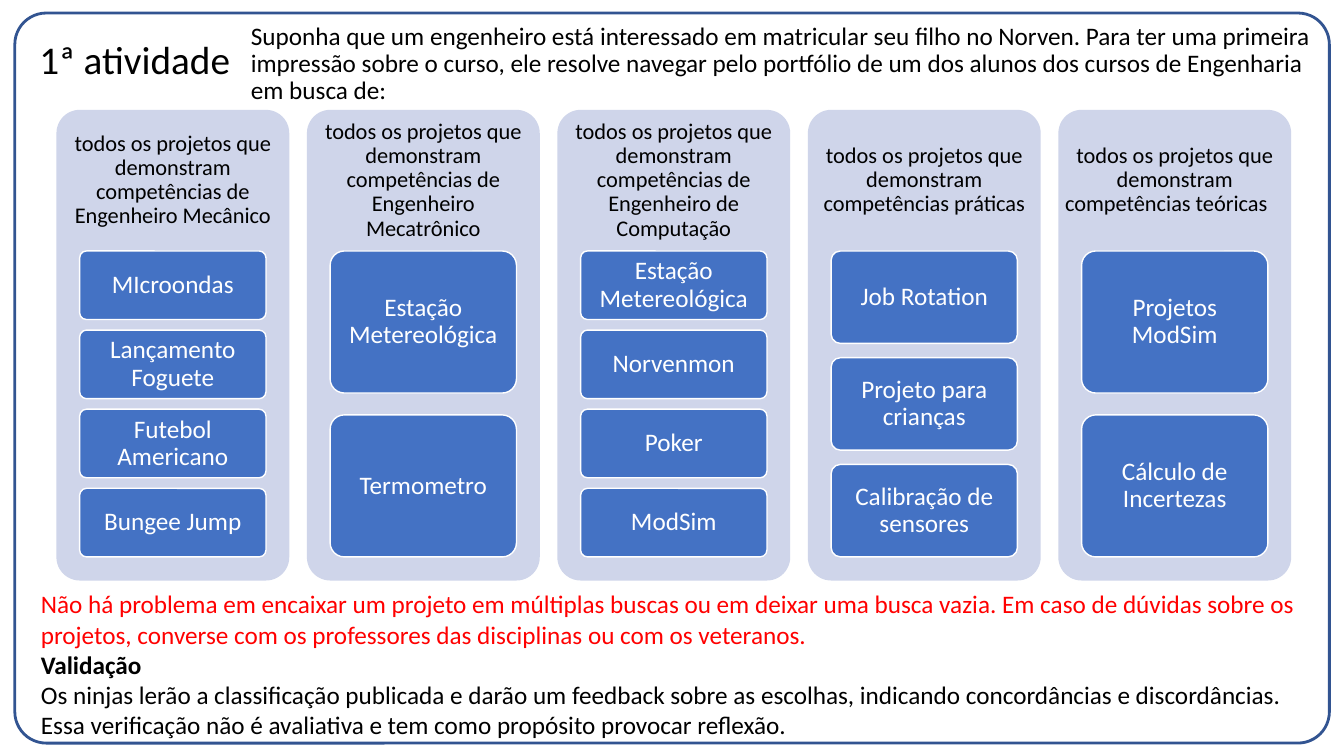
import pptx
import pptx.dml.color
import pptx.enum.shapes
import pptx.enum.text
import pptx.util
from lxml import etree

Pt = pptx.util.Pt
Align = pptx.enum.text.PP_ALIGN
Anchor = pptx.enum.text.MSO_ANCHOR

TITLE = "1ª atividade"
INTRO = ("Suponha que um engenheiro está interessado em matricular seu filho no Norven. "
         "Para ter uma primeira impressão sobre o curso, ele resolve navegar pelo portfólio "
         "de um dos alunos dos cursos de Engenharia em busca de:")
LEAD = "todos os projetos que demonstram competências "
GROUPS = [
    ("de Engenheiro Mecânico",
     ["MIcroondas", "Lançamento Foguete", "Futebol Americano", "Bungee Jump"]),
    ("de Engenheiro Mecatrônico", ["Estação Metereológica", "Termometro"]),
    ("de Engenheiro de Computação",
     ["Estação Metereológica", "Norvenmon", "Poker", "ModSim"]),
    ("práticas", ["Job Rotation", "Projeto para crianças", "Calibração de sensores"]),
    ("teóricas\t", ["Projetos ModSim", "Cálculo de Incertezas"]),
]
# text, colour, bold
NOTES = [
    ("Não há problema em encaixar um projeto em múltiplas buscas ou em deixar uma busca "
     "vazia. Em caso de dúvidas sobre os projetos, converse com os professores das "
     "disciplinas ou com os veteranos.", "FF0000", False),
    ("Validação", "000000", True),
    ("Os ninjas lerão a classificação publicada e darão um feedback sobre as escolhas, "
     "indicando concordâncias e discordâncias. Essa verificação não é avaliativa e tem "
     "como propósito provocar reflexão.", "000000", False),
]

LEFT, TOP, WIDE, HIGH, PITCH = 40.3, 78.5, 166.3, 336.2, 178.92
HEAD = 100.8           # height of a panel heading
INSET, SPAN = 16.6, 218.5  # side margin and total height of the project boxes
RATIO = 2 / 13         # gap between boxes, relative to box height


def color(code):
    return pptx.dml.color.RGBColor.from_string(code)


def style(para, size, code, bold=False, align=Align.LEFT, space=0.9):
    para.alignment = align
    para.line_spacing = space
    for run in para.runs:
        run.font.name = "Calibri"
        run.font.size = Pt(size)
        run.font.bold = bold
        run.font.color.rgb = color(code)


def fit(frame, side, edge, anchor=Anchor.MIDDLE):
    """Set wrapping, insets and vertical anchor of a text frame."""
    frame.word_wrap = True
    frame.auto_size = pptx.enum.text.MSO_AUTO_SIZE.NONE
    frame.margin_left = frame.margin_right = Pt(side)
    frame.margin_top = frame.margin_bottom = Pt(edge)
    frame.vertical_anchor = anchor


def place(shape, box):
    shape.left, shape.top, shape.width, shape.height = map(Pt, box)


def round_box(slide, box, curve, fill=None, line=None, weight=1):
    kind = pptx.enum.shapes.MSO_SHAPE.ROUNDED_RECTANGLE
    shape = slide.shapes.add_shape(kind, *map(Pt, box))
    shape.adjustments[0] = curve
    shape.shadow.inherit = False
    if fill:
        shape.fill.solid()
        shape.fill.fore_color.rgb = color(fill)
    else:
        shape.fill.background()
    if line:
        shape.line.color.rgb = color(line)
        shape.line.width = Pt(weight)
    else:
        shape.line.fill.background()
    return shape


def add_heads(slide):
    title, body = slide.placeholders
    place(title, (20.9, -7.9, 828, 104.4))
    title.text_frame.text = TITLE
    fit(title.text_frame, 7.2, 3.6)
    style(title.text_frame.paragraphs[0], 28, "000000")

    place(body, (172, 13, 776.2, 342.7))
    body.text_frame.text = INTRO
    fit(body.text_frame, 7.2, 3.6, Anchor.TOP)
    para = body.text_frame.paragraphs[0]
    style(para, 18, "000000")
    para.space_before = Pt(10)
    props = para._p.get_or_add_pPr()
    props.set("marL", "0")
    props.set("indent", "0")
    etree.SubElement(props, pptx.oxml.ns.qn("a:buNone"))


def add_panel(slide, left, head, items):
    round_box(slide, (left, TOP, WIDE, HIGH), 0.1, "CFD5EA")
    label = slide.shapes.add_textbox(*map(Pt, (left, TOP, WIDE, HEAD)))
    label.text_frame.text = LEAD + head
    fit(label.text_frame, 4.8, 4.8)
    style(label.text_frame.paragraphs[0], 16, "000000", align=Align.CENTER)

    count = len(items)
    tall = SPAN / (count + (count - 1) * RATIO)
    for row, item in enumerate(items):
        top = TOP + HEAD + row * tall * (1 + RATIO)
        box = (left + INSET, top, WIDE - 2 * INSET, tall)
        shape = round_box(slide, box, 0.1, "4472C4", "FFFFFF")
        shape.text_frame.text = item
        fit(shape.text_frame, 3.6, 2.7)
        style(shape.text_frame.paragraphs[0], 18, "FFFFFF", align=Align.CENTER)


def add_notes(slide):
    frame = slide.shapes.add_textbox(*map(Pt, (22.1, 417, 926, 116.3))).text_frame
    frame.text = "\n".join(text for text, _, _ in NOTES)
    fit(frame, 7.2, 3.6, Anchor.TOP)
    for para, (_, code, bold) in zip(frame.paragraphs, NOTES):
        style(para, 18, code, bold, space=1.0)


def main():
    deck = pptx.Presentation()
    deck.slide_width, deck.slide_height = Pt(960), Pt(540)
    slide = deck.slides.add_slide(deck.slide_layouts[1])
    round_box(slide, (10.6, 9.3, 939, 521.5), 0.043, line="325491", weight=2)
    add_heads(slide)
    for col, (head, items) in enumerate(GROUPS):
        add_panel(slide, LEFT + col * PITCH, head, items)
    add_notes(slide)
    deck.save("out.pptx")


if __name__ == "__main__":
    main()
